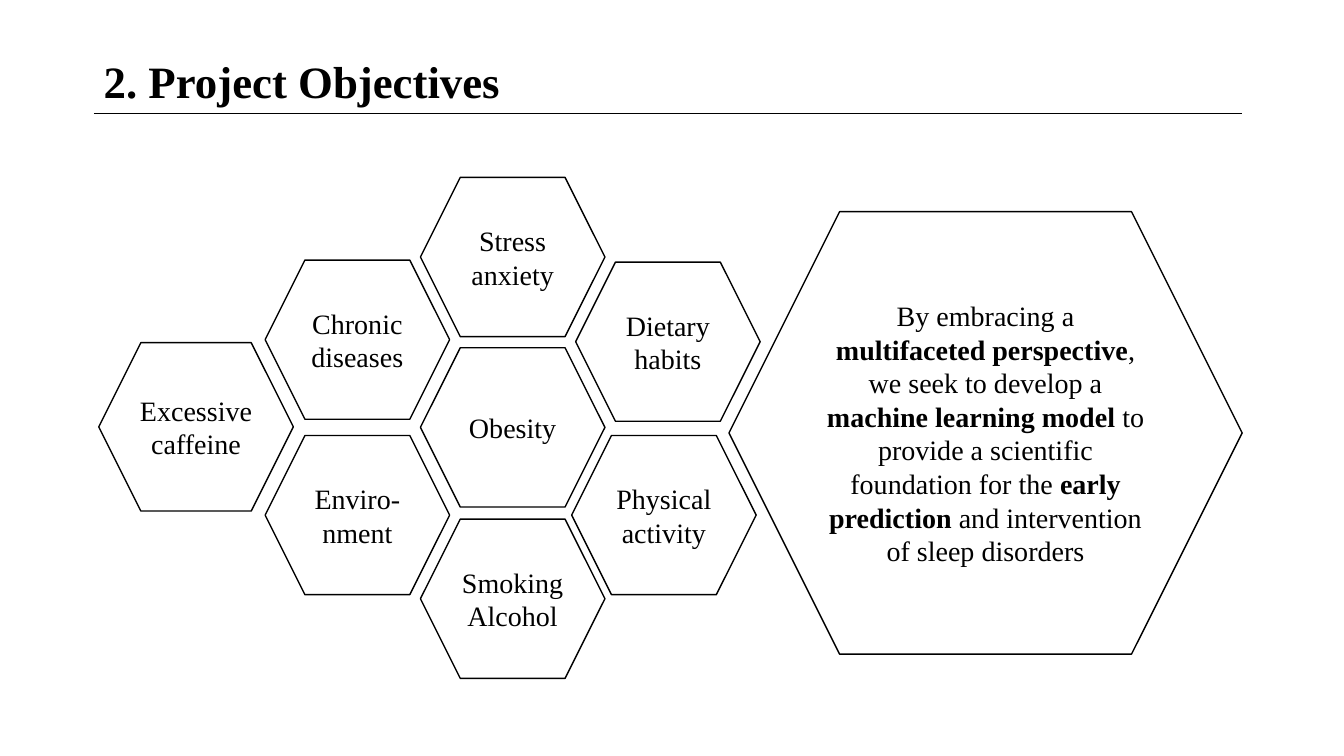
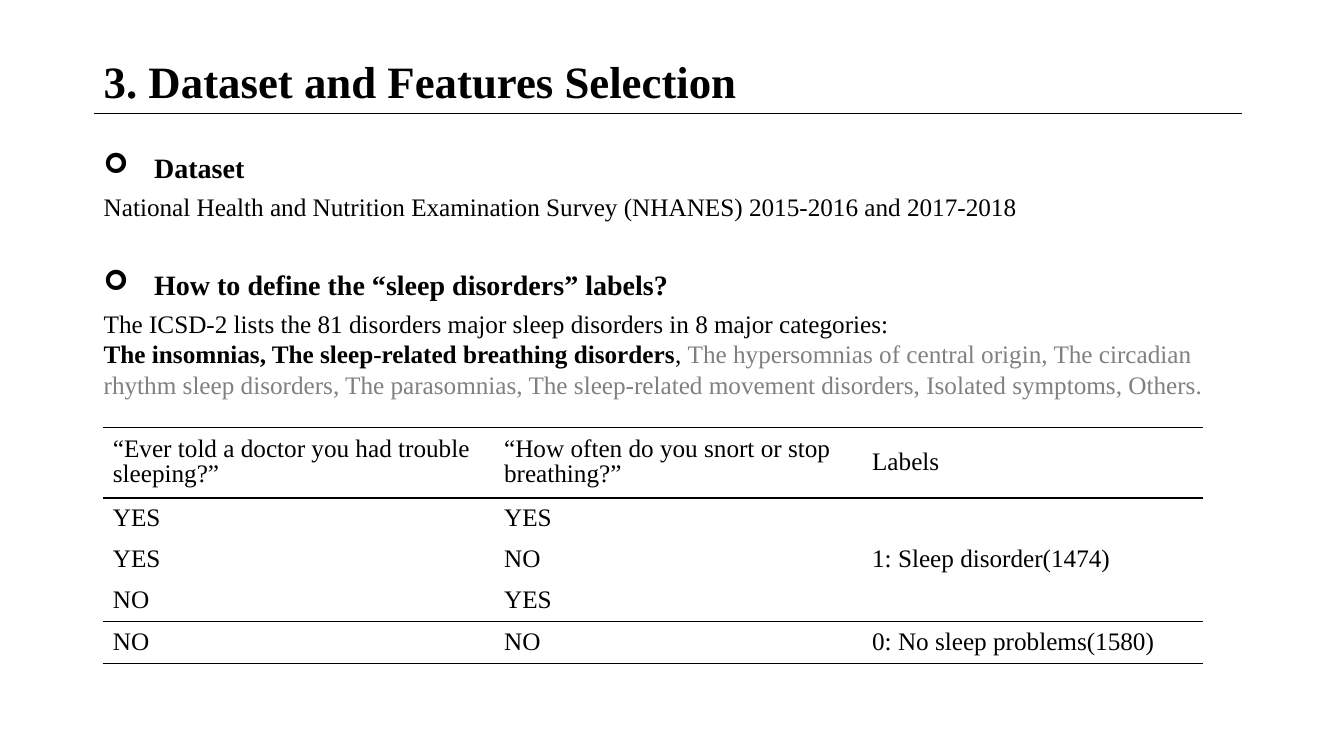
from lxml import etree
from pptx import Presentation
from pptx import util as u
from pptx.dml import color
from pptx.enum import shapes, text
from pptx.oxml import ns

PX = 9144
FONT = "Times New Roman"
BLACK, GREY = "000000", "808080"
LEFT, WIDTH = 93, 1139
CELL_W, CELL_H = 183, 158


def px(*lengths):
    """Turn whole px into EMU."""
    return [u.Emu(length * PX) for length in lengths]


def rgb(value):
    """Turn a hex string into a colour."""
    return color.RGBColor.from_string(value)


def sub(parent, tag, **attributes):
    """Append a drawing element to a parent element."""
    return etree.SubElement(parent, ns.qn(tag), attributes)


def write(frame, paragraphs, size=20, bold=False, align=text.PP_ALIGN.LEFT,
          spacing=None, bullet=None):
    """Fill a text frame; each paragraph is a string or a list of (text, format)."""
    frame.word_wrap = True
    for index, content in enumerate(paragraphs):
        paragraph = frame.paragraphs[0] if index == 0 else frame.add_paragraph()
        paragraph.alignment = align
        if spacing:
            paragraph.line_spacing = spacing
        runs = [(content, {})] if isinstance(content, str) else content
        for words, style in runs:
            run = paragraph.add_run()
            run.text = words
            run.font.name = FONT
            run.font.size = u.Pt(size)
            run.font.bold = style.get("bold", bold)
            run.font.color.rgb = rgb(style.get("color", BLACK))
        if bullet:
            properties = paragraph._p.get_or_add_pPr()
            properties.set("marL", str(50 * PX))
            properties.set("indent", str(-50 * PX))
            sub(properties, "a:buFont", typeface="Wingdings")
            sub(properties, "a:buChar", char=bullet)


def add_text(slide, box, paragraphs, **style):
    """Place a text box."""
    write(slide.shapes.add_textbox(*px(*box)).text_frame, paragraphs, **style)


def add_slide(deck, title):
    """Add a slide with the shared title and the rule below it."""
    slide = deck.slides.add_slide(deck.slide_layouts[6])
    rule = slide.shapes.add_connector(
        shapes.MSO_CONNECTOR.STRAIGHT, *px(LEFT, 112, LEFT + WIDTH, 112))
    rule.line.color.rgb = rgb(BLACK)
    rule.line.width = u.Pt(0.5)
    sub(rule._element.spPr, "a:effectLst")
    add_text(slide, (LEFT, 48, WIDTH, 64), [title], size=32, bold=True)
    return slide


def add_hexagon(slide, box, paragraphs):
    """Place an outlined hexagon with centred text."""
    hexagon = slide.shapes.add_shape(shapes.MSO_SHAPE.HEXAGON, *px(*box))
    hexagon.shadow.inherit = False
    hexagon.fill.background()
    hexagon.line.color.rgb = rgb(BLACK)
    hexagon.line.width = u.Pt(1)
    hexagon.text_frame.vertical_anchor = text.MSO_ANCHOR.MIDDLE
    write(hexagon.text_frame, paragraphs, align=text.PP_ALIGN.CENTER)


def add_honeycomb(slide, left, top):
    """Place the risk factors as a comb of hexagons."""
    factors = [
        (473, 84, ["Dietary habits"]),
        (469, 256, ["Physical activity"]),
        (165, 256, ["Enviro-nment"]),
        (319, 339, ["Smoking", "Alcohol"]),
        (319, 0, ["Stress anxiety"]),
        (165, 82, ["Chronic diseases"]),
        (319, 169, ["Obesity"]),
    ]
    add_hexagon(slide, (left, top + 164, 193, 167), ["Excessive caffeine"])
    for dx, dy, words in factors:
        add_hexagon(slide, (left + dx, top + dy, CELL_W, CELL_H), words)


def add_section(slide, top, heading, paragraphs, height):
    """Place a bulleted heading with its body below."""
    add_text(slide, (LEFT, top, WIDTH, 44), [heading], bold=True, bullet="➢")
    add_text(slide, (LEFT, top + 41, WIDTH, height), paragraphs, size=18)


def set_borders(cell, top, bottom):
    """Rule the top and bottom of a cell where asked and clear its other sides."""
    properties = cell._tc.get_or_add_tcPr()
    sides = [("a:lnL", False), ("a:lnR", False), ("a:lnT", top), ("a:lnB", bottom)]
    for position, (tag, ruled) in enumerate(sides):
        border = etree.Element(ns.qn(tag), w=str(u.Pt(1)))
        if ruled:
            sub(sub(border, "a:solidFill"), "a:srgbClr", val=BLACK)
        else:
            sub(border, "a:noFill")
        properties.insert(position, border)


def add_label_table(slide, left, top):
    """Place the table that maps survey answers to labels."""
    answers = [
        ("“Ever told a doctor you had trouble sleeping?”",
         "“How often do you snort or stop breathing?”", "Labels"),
        ("YES", "YES", "1: Sleep disorder(1474)"),
        ("YES", "NO", ""),
        ("NO", "YES", ""),
        ("NO", "NO", "0: No sleep problems(1580)"),
    ]
    widths, heights = (388, 365, 338), (70, 41, 41, 41, 41)
    ruled_edges = {0, 1, 4, 5}
    table = slide.shapes.add_table(
        len(heights), len(widths), *px(left, top, sum(widths), sum(heights))).table
    table.first_row = table.horz_banding = False
    for column, width in zip(table.columns, px(*widths)):
        column.width = width
    for row, height in zip(table.rows, px(*heights)):
        row.height = height
    table.cell(1, 2).merge(table.cell(3, 2))
    for r, row in enumerate(answers):
        for c, words in enumerate(row):
            cell = table.cell(r, c)
            cell.fill.background()
            cell.vertical_anchor = text.MSO_ANCHOR.MIDDLE
            set_borders(cell, r in ruled_edges, r + cell.span_height in ruled_edges)
            if words:
                write(cell.text_frame, [words], size=18, spacing=0.9)


def build_objectives(deck):
    """Build the slide on the project's objectives."""
    slide = add_slide(deck, "2. Project Objectives")
    add_honeycomb(slide, 98, 176)
    strong = {"bold": True}
    add_hexagon(slide, (723, 210, 509, 439), [
        "By embracing a",
        [("multifaceted perspective", strong), (",", {})],
        [("we seek to develop a ", {}), ("machine learning model ", strong),
         ("to provide a scientific foundation for the ", {}),
         ("early prediction", strong),
         (" and intervention of sleep disorders", {})],
    ])


def build_dataset(deck):
    """Build the slide on the dataset and its labels."""
    slide = add_slide(deck, "3. Dataset and Features Selection")
    add_section(slide, 144, "Dataset", [
        "National Health and Nutrition Examination Survey (NHANES) "
        "2015-2016 and 2017-2018"], 40)
    add_section(slide, 260, "How to define the “sleep disorders” labels?", [
        "The ICSD-2 lists the 81 disorders major sleep disorders in 8 major categories:",
        [("The insomnias, The sleep-related breathing disorders", {"bold": True}),
         (", ", {}),
         ("The hypersomnias of central origin, The circadian rhythm sleep disorders, "
          "The parasomnias, The sleep-related movement disorders, "
          "Isolated symptoms, Others.", {"color": GREY})],
    ], 101)
    add_label_table(slide, 102, 424)


def main():
    """Build and save the deck."""
    deck = Presentation()
    deck.slide_width, deck.slide_height = px(1333, 750)
    build_objectives(deck)
    build_dataset(deck)
    deck.save("out.pptx")


if __name__ == "__main__":
    main()
